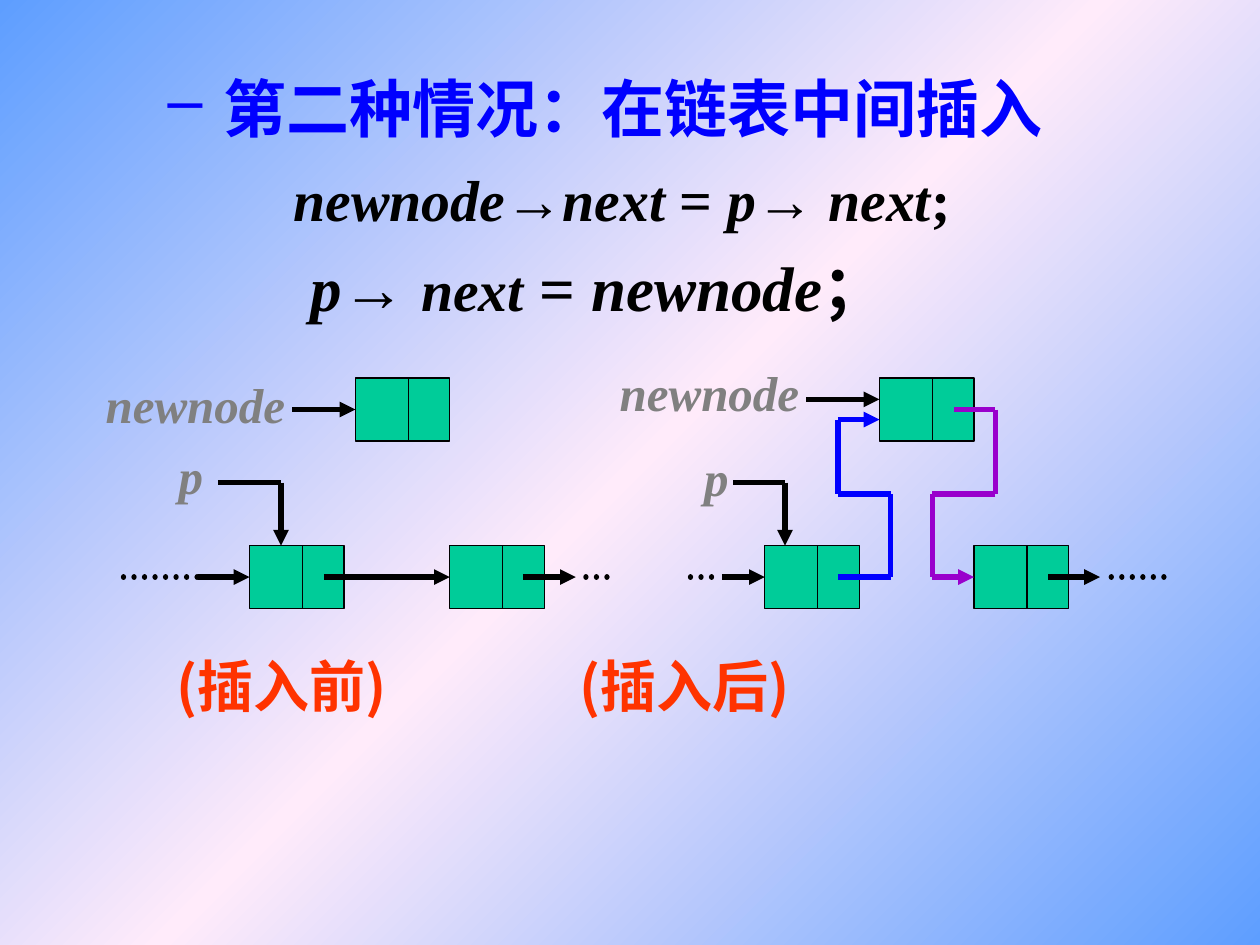
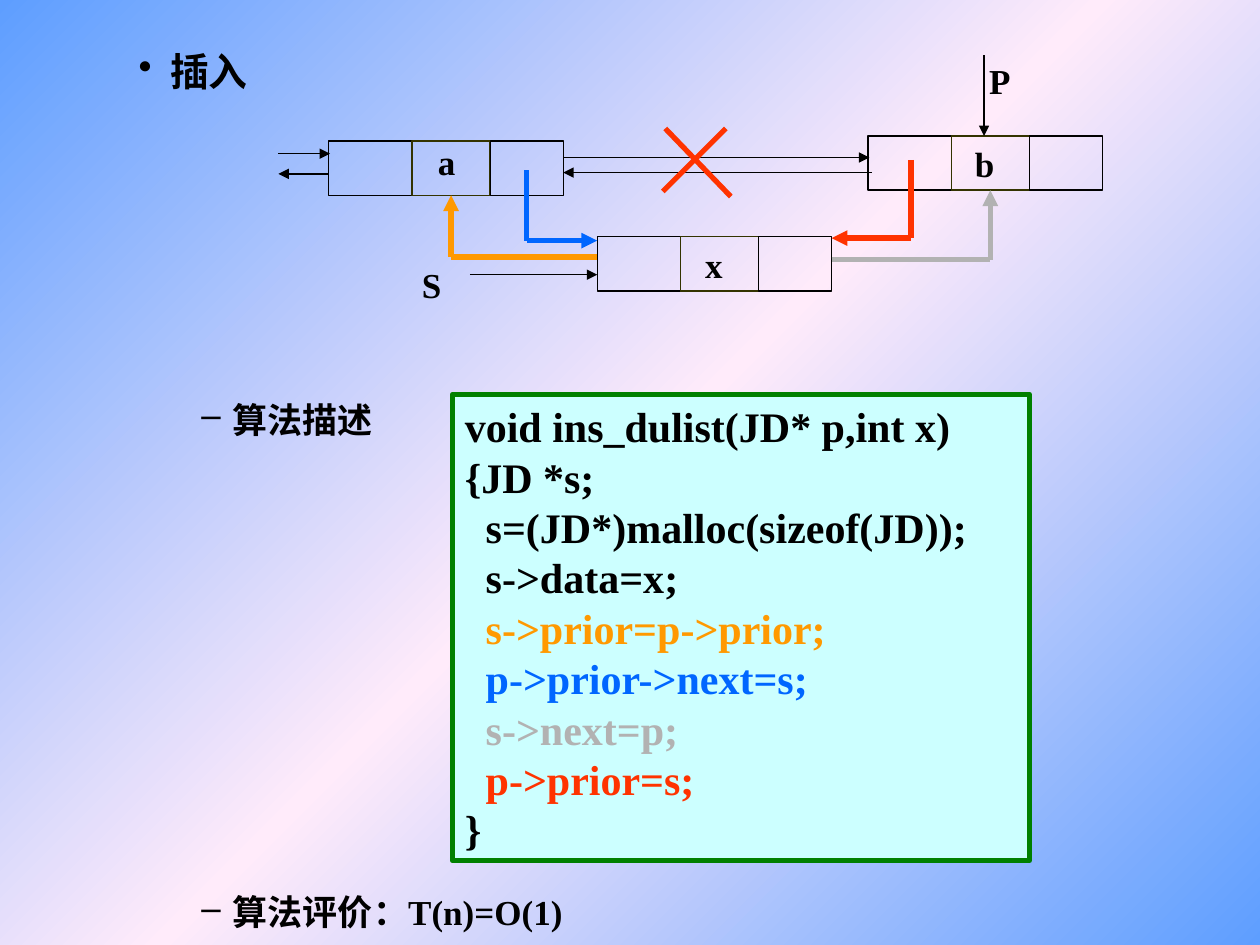
from copy import deepcopy
from dataclasses import dataclass
from itertools import accumulate

from lxml import etree
from pptx import Presentation
from pptx.dml.color import RGBColor
from pptx.enum.dml import MSO_LINE
from pptx.enum.shapes import MSO_CONNECTOR, MSO_SHAPE
from pptx.enum.text import MSO_ANCHOR, MSO_AUTO_SIZE, PP_ALIGN
from pptx.oxml.ns import qn
from pptx.util import Inches, Pt

STRAIGHT = MSO_CONNECTOR.STRAIGHT
RECTANGLE = MSO_SHAPE.RECTANGLE
ROUND_DOT = MSO_LINE.ROUND_DOT
TOP, MIDDLE = MSO_ANCHOR.TOP, MSO_ANCHOR.MIDDLE
LEFT, CENTER = PP_ALIGN.LEFT, PP_ALIGN.CENTER
FIXED_SIZE = MSO_AUTO_SIZE.NONE
LEFT_SIDE, BOTTOM_SIDE = 1, 2
TITLE_ONLY = 5


@dataclass(frozen=True)
class Theme:
    latin: str = "Times New Roman"
    chinese: str = "Noto Sans CJK SC"
    black: str = "000000"
    heading: str = "0000FF"
    caption: str = "FF3300"
    pointer: str = "808080"
    node: str = "00CC99"
    old_link: str = "9900CC"
    new_link: str = "0000FF"
    orange: str = "FF9900"
    blue: str = "0066FF"
    gray: str = "B2B2B2"
    red: str = "FF3300"
    data_edge: str = "333300"
    code_fill: str = "CCFFFF"
    code_edge: str = "008000"
    backdrop: tuple = ((0, "5E9EFF"), (0.5, "FFEBFA"), (1, "5E9EFF"))
    heading_size: float = 36
    formula_size: float = 33
    caption_size: float = 32
    pointer_size: float = 28
    code_size: float = 24
    topic_size: float = 22.2
    text_size: float = 20
    thin: float = 0.75
    thick: float = 3


THEME = Theme()


@dataclass(frozen=True)
class Box:
    left: float
    top: float
    width: float
    height: float

    def lengths(self) -> tuple:
        return tuple(map(Inches, (self.left, self.top, self.width, self.height)))


@dataclass(frozen=True)
class Route:
    points: tuple
    color: str = THEME.black
    weight: float = THEME.thick
    arrow: bool = True
    dotted: bool = False
    target: str = ""
    side: int = LEFT_SIDE


@dataclass(frozen=True)
class Label:
    text: str
    box: Box


def write_text(paragraph, text: str, *, size: float = THEME.text_size, color: str = THEME.black,
               font: str = THEME.latin, italic: bool = False) -> None:
    run = paragraph.add_run()
    run.text = text
    run.font.size = Pt(size)
    run.font.bold = True
    run.font.italic = italic
    run.font.color.rgb = RGBColor.from_string(color)
    run.font.name = font
    etree.SubElement(run.font._element, qn("a:ea")).set("typeface", THEME.chinese)


def set_indent(paragraph, left: float, bullet: str = "", hanging: float = 0,
               color: str = THEME.black) -> None:
    properties = paragraph._p.get_or_add_pPr()
    properties.set("marL", str(Inches(left)))
    properties.set("indent", str(-Inches(hanging)))
    if bullet:
        bullet_color = etree.SubElement(properties, qn("a:buClr"))
        etree.SubElement(bullet_color, qn("a:srgbClr")).set("val", color)
        etree.SubElement(properties, qn("a:buChar")).set("char", bullet)


def prepare_frame(shape, *, anchor=TOP, align=LEFT, wrap: bool = True):
    frame = shape.text_frame
    frame.auto_size = FIXED_SIZE
    frame.word_wrap = wrap
    frame.vertical_anchor = anchor
    frame.margin_left = frame.margin_right = Inches(0.1)
    frame.margin_top = frame.margin_bottom = Inches(0.05)
    frame.paragraphs[0].alignment = align
    return frame


def add_frame(slide, box: Box, **layout):
    return prepare_frame(slide.shapes.add_textbox(*box.lengths()), **layout)


def add_label(slide, label: Label, *, anchor=TOP, align=LEFT, wrap: bool = False, **style) -> None:
    frame = add_frame(slide, label.box, anchor=anchor, align=align, wrap=wrap)
    write_text(frame.paragraphs[0], label.text, **style)


def add_bullet(slide, label: Label) -> None:
    paragraph = add_frame(slide, label.box).paragraphs[0]
    set_indent(paragraph, 1.75, "–", 0.25)
    write_text(paragraph, label.text)


def set_title(slide, label: Label, bullet: str, left: float, hanging: float, *,
              size: float, color: str) -> None:
    title = slide.shapes.title
    title.left, title.top, title.width, title.height = label.box.lengths()
    paragraph = prepare_frame(title).paragraphs[0]
    set_indent(paragraph, left, bullet, hanging, color)
    write_text(paragraph, label.text, size=size, color=color)


def add_rectangle(slide, box: Box, *, fill: str = "", edge: str = THEME.black,
                  weight: float = THEME.thin):
    rectangle = slide.shapes.add_shape(RECTANGLE, *box.lengths())
    rectangle.shadow.inherit = False
    if fill:
        rectangle.fill.solid()
        rectangle.fill.fore_color.rgb = RGBColor.from_string(fill)
    else:
        rectangle.fill.background()
    rectangle.line.color.rgb = RGBColor.from_string(edge)
    rectangle.line.width = Pt(weight)
    return rectangle


def add_segment(slide, start: tuple, end: tuple, route: Route, arrow: bool):
    segment = slide.shapes.add_connector(STRAIGHT, *map(Inches, (*start, *end)))
    segment.line.color.rgb = RGBColor.from_string(route.color)
    segment.line.width = Pt(route.weight)
    properties = segment._element.spPr
    stroke = properties.find(qn("a:ln"))
    if route.dotted:
        segment.line.dash_style = ROUND_DOT
        stroke.set("cap", "rnd")
    if arrow:
        etree.SubElement(stroke, qn("a:tailEnd")).set("type", "triangle")
    etree.SubElement(properties, qn("a:effectLst"))
    return segment


def add_route(slide, route: Route, targets: dict) -> None:
    last = len(route.points) - 2
    for index, (start, end) in enumerate(zip(route.points, route.points[1:])):
        segment = add_segment(slide, start, end, route, route.arrow and index == last)
    if route.target:
        segment.end_connect(targets[route.target], route.side)


def add_node(slide, left: float, top: float):
    node = add_rectangle(slide, Box(left, top, 0.75, 0.5), fill=THEME.node)
    divider = left + 0.42
    add_segment(slide, (divider, top), (divider, top + 0.5), Route((), weight=THEME.thin), False)
    return node


def add_double_node(slide, left: float, top: float):
    widths = (0.66, 0.62, 0.58)
    lefts = accumulate(widths[:-1], initial=left)
    edges = (THEME.black, THEME.data_edge, THEME.black)
    cells = [add_rectangle(slide, Box(x, top, width, 0.43), edge=edge)
             for x, width, edge in zip(lefts, widths, edges)]
    return cells[1]


def paint_backdrop(presentation) -> None:
    master = presentation.slide_master
    fill = master.background.fill
    fill.gradient()
    fill.gradient_angle = 135
    stops = next(master.element.iter(qn("a:gsLst")))
    stops.insert(1, deepcopy(stops[0]))
    for stop, (position, color) in zip(fill.gradient_stops, THEME.backdrop):
        stop.position = position
        stop.color.rgb = RGBColor.from_string(color)


def build_middle_insertion(slide) -> None:
    set_title(slide, Label("第二种情况：在链表中间插入", Box(0.73, 0.5, 9.2, 0.8)), "–", 0.94, 0.44,
              size=THEME.heading_size, color=THEME.heading)

    big, small = THEME.heading_size, THEME.formula_size
    formulas = (
        (0, (("newnode", small, True), ("→", small, False), ("next", small, True),
             (" = ", small, False), ("p", small, True), ("→ ", small, False),
             ("next", small, True), (";", small, False))),
        (0.14, (("p", big, True), ("→ ", big, False), ("next", small, True),
                (" = ", big, False), ("newnode", big, True), ("；", big, False))),
    )
    frame = add_frame(slide, Box(2.23, 1.25, 6.5, 1.5))
    for index, (indent, pieces) in enumerate(formulas):
        paragraph = frame.add_paragraph() if index else frame.paragraphs[0]
        set_indent(paragraph, indent)
        if index:
            paragraph.space_before = Pt(9)
        for text, size, italic in pieces:
            write_text(paragraph, text, size=size, italic=italic)

    node_places = {
        "new before": (2.82, 3), "first before": (1.98, 4.33), "second before": (3.57, 4.33),
        "new after": (6.98, 3), "first after": (6.07, 4.33), "second after": (7.73, 4.33),
    }
    nodes = {name: add_node(slide, *place) for name, place in node_places.items()}

    row = 4.58
    for route in (
        Route(((2.32, 3.25), (2.82, 3.25)), target="new before"),
        Route(((0.98, row), (1.57, row)), arrow=False, dotted=True),
        Route(((1.57, row), (1.98, row)), target="first before"),
        Route(((2.57, row), (3.57, row)), target="second before"),
        Route(((4.15, row), (4.57, row))),
        Route(((4.65, row), (4.9, row)), arrow=False, dotted=True),
        Route(((1.73, 3.83), (2.23, 3.83), (2.23, 4.33))),
        Route(((6.4, 3.17), (6.98, 3.17))),
        Route(((5.48, row), (5.73, row)), arrow=False, dotted=True),
        Route(((5.73, row), (6.07, row)), target="first after"),
        Route(((8.32, row), (8.73, row))),
        Route(((8.82, row), (9.32, row)), arrow=False, dotted=True),
        Route(((5.82, 3.83), (6.23, 3.83), (6.23, 4.33))),
        Route(((7.57, 3.25), (7.9, 3.25), (7.9, 3.92), (7.4, 3.92), (7.4, row), (7.73, row)),
              THEME.old_link, target="second after"),
        Route(((6.65, row), (7.07, row), (7.07, 3.92), (6.65, 3.92), (6.65, 3.33), (6.98, 3.33)),
              THEME.new_link),
    ):
        add_route(slide, route, nodes)

    for pointer in (
        Label("newnode", Box(0.74, 2.92, 1.62, 0.57)), Label("p", Box(1.32, 3.49, 0.39, 0.57)),
        Label("newnode", Box(4.82, 2.83, 1.62, 0.57)), Label("p", Box(5.49, 3.5, 0.39, 0.57)),
    ):
        add_label(slide, pointer, size=THEME.pointer_size, color=THEME.pointer, italic=True)
    for text, left in (("(插入前)", 1.3), ("(插入后)", 4.5)):
        add_label(slide, Label(text, Box(left, 5.12, 2.4, 0.66)), wrap=True, font=THEME.chinese,
                  size=THEME.caption_size, color=THEME.caption)


def build_double_insertion(slide) -> None:
    set_title(slide, Label("插入", Box(0, 0.33, 6, 0.48)), "•", 1.25, 0.25,
              size=THEME.topic_size, color=THEME.black)
    add_bullet(slide, Label("算法描述", Box(0, 3.11, 3.5, 0.48)))
    add_bullet(slide, Label("算法评价：T(n)=O(1)", Box(0, 7.02, 9.3, 0.48)))

    code_lines = (
        ("void ins_dulist(JD* p,int x)", THEME.black),
        ("{JD *s;", THEME.black),
        ("  s=(JD*)malloc(sizeof(JD));", THEME.black),
        ("  s->data=x;", THEME.black),
        ("  s->prior=p->prior;", THEME.orange),
        ("  p->prior->next=s;", THEME.blue),
        ("  s->next=p;", THEME.gray),
        ("  p->prior=s;", THEME.red),
        ("}", THEME.black),
    )
    listing = add_rectangle(slide, Box(3.59, 3.13, 4.58, 3.7), fill=THEME.code_fill,
                            edge=THEME.code_edge, weight=THEME.thick)
    frame = prepare_frame(listing, anchor=MIDDLE)
    for index, (text, color) in enumerate(code_lines):
        paragraph = frame.add_paragraph() if index else frame.paragraphs[0]
        paragraph.alignment = LEFT
        paragraph.line_spacing = Pt(28.8)
        write_text(paragraph, text, size=THEME.code_size, color=color)

    node_places = {"a": (2.61, 1.12), "b": (6.89, 1.08), "x": (4.74, 1.88)}
    data_cells = {name: add_double_node(slide, *place) for name, place in node_places.items()}

    thin = THEME.thin
    for route in (
        Route(((4.18, 1.35), (4.18, 1.91), (4.74, 1.91)), THEME.blue),
        Route(((4.74, 2.04), (3.58, 2.04), (3.58, 1.55)), THEME.orange,
              target="a", side=BOTTOM_SIDE),
        Route(((6.6, 2.06), (7.86, 2.06), (7.86, 1.51)), THEME.gray,
              target="b", side=BOTTOM_SIDE),
        Route(((7.23, 1.27), (7.23, 1.89), (6.6, 1.89)), THEME.red),
        Route(((3.73, 2.18), (4.74, 2.18)), weight=thin),
        Route(((2.21, 1.22), (2.62, 1.22)), weight=thin),
        Route(((2.61, 1.38), (2.21, 1.38)), weight=thin),
        Route(((4.47, 1.25), (6.9, 1.25)), weight=thin),
        Route(((6.92, 1.37), (4.47, 1.37)), weight=thin),
        Route(((7.81, 0.44), (7.81, 1.08)), weight=thin),
        Route(((5.76, 1.02), (5.26, 1.52)), THEME.red, arrow=False),
        Route(((5.28, 1.02), (5.8, 1.56)), THEME.red, arrow=False),
    ):
        add_route(slide, route, data_cells)

    for text, left, top in (("a", 3.37, 1.06), ("b", 7.64, 1.08), ("x", 5.49, 1.88),
                            ("S", 3.25, 2.04), ("P", 7.76, 0.42)):
        add_label(slide, Label(text, Box(left, top, 0.35, 0.44)), anchor=MIDDLE, align=CENTER)


def main() -> None:
    presentation = Presentation()
    presentation.slide_width, presentation.slide_height = Inches(10), Inches(7.5)
    paint_backdrop(presentation)
    for build in (build_middle_insertion, build_double_insertion):
        build(presentation.slides.add_slide(presentation.slide_layouts[TITLE_ONLY]))
    presentation.save("out.pptx")


if __name__ == "__main__":
    main()
